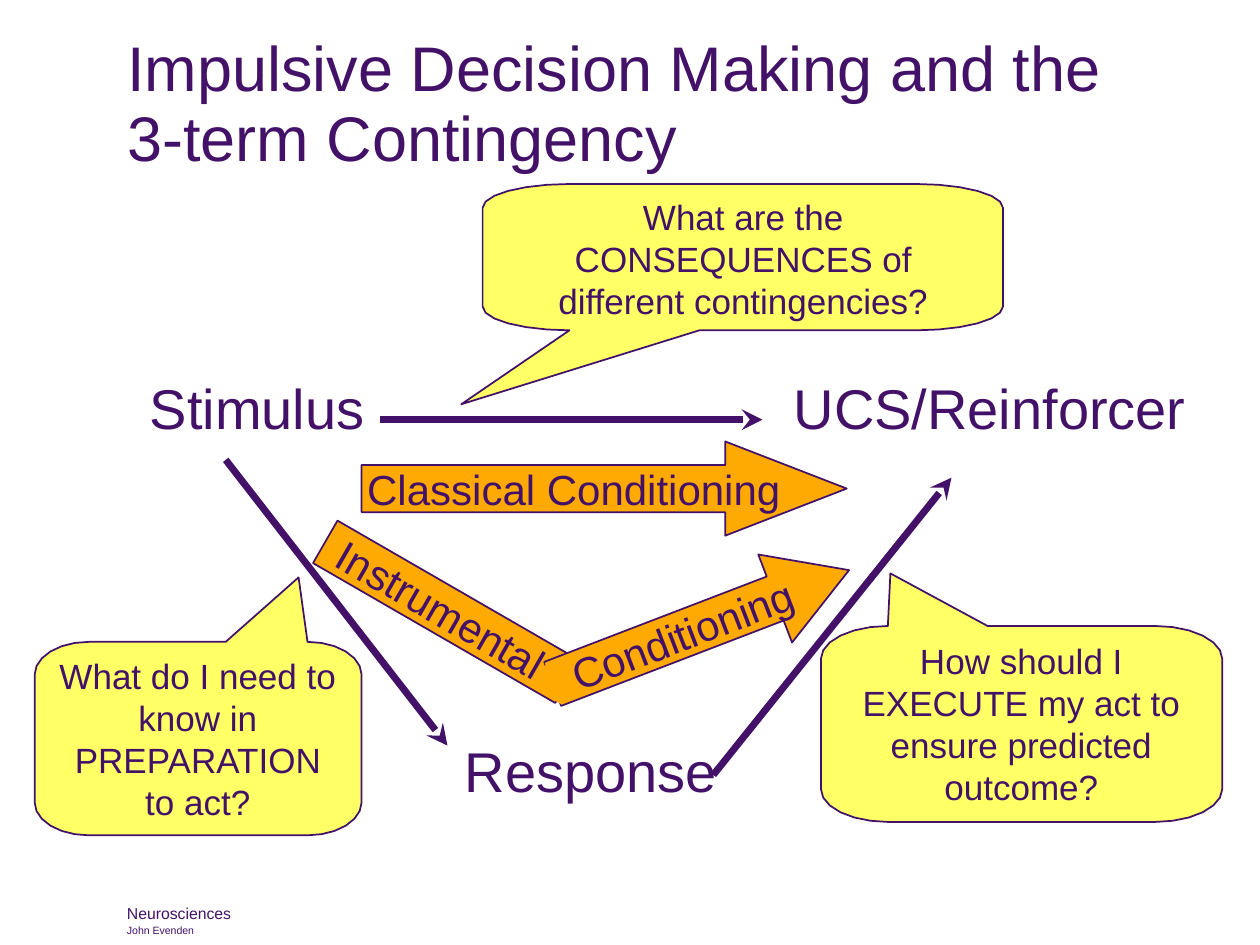
"""Build the slide on impulsive decision making and the 3-term contingency."""
from math import cos, radians, sin

from lxml import etree
from pptx import Presentation
from pptx import util as u
from pptx.dml import color
from pptx.enum import shapes, text
from pptx.oxml import ns

COLORS = {"ink": "431268", "bubble": "FFFF66", "arrow": "FEAA02"}
FONT = "Arial"


def rgb(name):
    return color.RGBColor.from_string(COLORS[name])


def write(sp, content, size, align=text.PP_ALIGN.LEFT, anchor=text.MSO_ANCHOR.TOP,
          insets=(0.25, 0.13), wrap=False, spacing=None):
    tf = sp.text_frame
    tf.text = content
    tf.word_wrap = wrap
    tf.vertical_anchor = anchor
    tf.margin_left = tf.margin_right = u.Cm(insets[0])
    tf.margin_top = tf.margin_bottom = u.Cm(insets[1])
    p = tf.paragraphs[0]
    p.alignment = align
    if spacing:
        p.line_spacing = u.Pt(spacing)
    font = p.runs[0].font
    font.name, font.size = FONT, u.Pt(size)
    font.color.rgb = rgb("ink")


def add_text(s, box, content, size, **style):
    write(s.shapes.add_textbox(*map(u.Cm, box)), content, size, **style)


def paint(sp, fill):
    sp.shadow.inherit = False
    sp.fill.solid()
    sp.fill.fore_color.rgb = rgb(fill)
    sp.line.color.rgb = rgb("ink")
    sp.line.width = u.Pt(1)


def add_line(s, start, end, name, width, head=False):
    c = s.shapes.add_connector(shapes.MSO_CONNECTOR.STRAIGHT, *map(u.Cm, start + end))
    c.line.color.rgb = rgb(name)
    c.line.width = u.Pt(width)
    if head:
        etree.SubElement(c.line._get_or_add_ln(), ns.qn("a:tailEnd"), type="stealth")
    etree.SubElement(c._element.spPr, ns.qn("a:effectLst"))


def add_block(s, kind, box, content, rotation=0, adjustments=()):
    sp = s.shapes.add_shape(kind, *map(u.Cm, box))
    for i, value in enumerate(adjustments):
        sp.adjustments[i] = value
    sp.rotation = rotation
    paint(sp, "arrow")
    write(sp, content, 24, align=text.PP_ALIGN.CENTER, anchor=text.MSO_ANCHOR.MIDDLE)


def add_callout(s, edges, radii, base, tip, text_box, content):
    """Draw a rounded bubble whose tail leaves its top or bottom edge."""
    left, top, right, bottom = edges
    rx, ry = radii
    corners = [(left + rx, top + ry, 180), (right - rx, top + ry, 270),
               (right - rx, bottom - ry, 0), (left + rx, bottom - ry, 90)]
    tail_corner = 0 if tip[1] < top else 2
    points = []
    for i, (cx, cy, start) in enumerate(corners):
        for step in range(0, 91, 15):
            angle = radians(start + step)
            points.append((cx + rx * cos(angle), cy + ry * sin(angle)))
        if i == tail_corner:
            first, last = base if i == 0 else base[::-1]
            edge = top if i == 0 else bottom
            points += [(first, edge), tip, (last, edge)]
    points = [(u.Cm(x), u.Cm(y)) for x, y in points]
    builder = s.shapes.build_freeform(*points[0])
    builder.add_line_segments(points[1:], close=True)
    paint(builder.convert_to_shape(), "bubble")
    add_text(s, text_box, content, 20, align=text.PP_ALIGN.CENTER,
             insets=(0, 0), wrap=True)


def main():
    prs = Presentation()
    prs.slide_width, prs.slide_height = u.Cm(25.4), u.Cm(19.05)
    s = prs.slides.add_slide(prs.slide_layouts[6])

    add_text(s, (2.56, 18.09, 2.4, 0.64), "Neurosciences", 9, insets=(0, 0.13))
    add_text(s, (2.56, 18.49, 1.6, 0.51), "John Evenden", 6, insets=(0, 0.13))
    add_text(s, (2.57, 1.56, 20.9, 2.11),
             "Impulsive Decision Making and the 3-term Contingency", 36,
             anchor=text.MSO_ANCHOR.BOTTOM, insets=(0, 0.15), wrap=True, spacing=40)

    for left, top, width, label in [(2.77, 7.41, 4.85, "Stimulus"),
                                    (15.75, 7.41, 8.43, "UCS/Reinforcer"),
                                    (9.12, 14.71, 5.61, "Response")]:
        add_text(s, (left, top, width, 1.6), label, 32)
    for start, end in [((7.67, 8.46), (15.37, 8.46)),
                       ((14.38, 15.62), (19.18, 9.63)),
                       ((4.55, 9.27), (9.02, 15.03))]:
        add_line(s, start, end, "ink", 4, head=True)

    add_callout(s, (9.73, 3.71, 20.22, 6.66), (1.75, 0.48), (11.48, 14.1),
                (9.3, 8.15), (10.39, 3.94, 9.19, 2.51),
                "What are the CONSEQUENCES of different contingencies?")
    add_callout(s, (0.7, 12.94, 7.29, 16.84), (1.09, 0.66), (4.55, 6.2),
                (6.02, 11.64), (1.16, 13.2, 5.66, 3.35),
                "What do I need to know in PREPARATION to act?")

    arrow = shapes.MSO_SHAPE.RIGHT_ARROW
    add_block(s, arrow, (7.29, 8.9, 9.78, 1.9), "Classical Conditioning",
              adjustments=(0.5, 1.29))
    add_block(s, shapes.MSO_SHAPE.RECTANGLE, (6.18, 11.84, 5.64, 0.99),
              "Instrumental ", rotation=30)
    add_block(s, arrow, (10.93, 11.69, 6.4, 1.9), "Conditioning",
              rotation=339, adjustments=(0.5, 0.84))
    for start, end in [((11.18, 13.54), (11.25, 13.34)),
                       ((11.25, 14.05), (11.02, 13.41)),
                       ((11.23, 14.15), (11.46, 13.74)),
                       ((11.02, 13.47), (11.46, 13.3))]:
        add_line(s, start, end, "arrow", 6)

    add_callout(s, (16.55, 12.62, 24.64, 16.57), (1.35, 0.66), (17.9, 19.91),
                (17.95, 11.56), (17.07, 12.9, 7.04, 3.4),
                "How should I EXECUTE my act to ensure predicted outcome?")

    prs.save("out.pptx")


if __name__ == "__main__":
    main()
